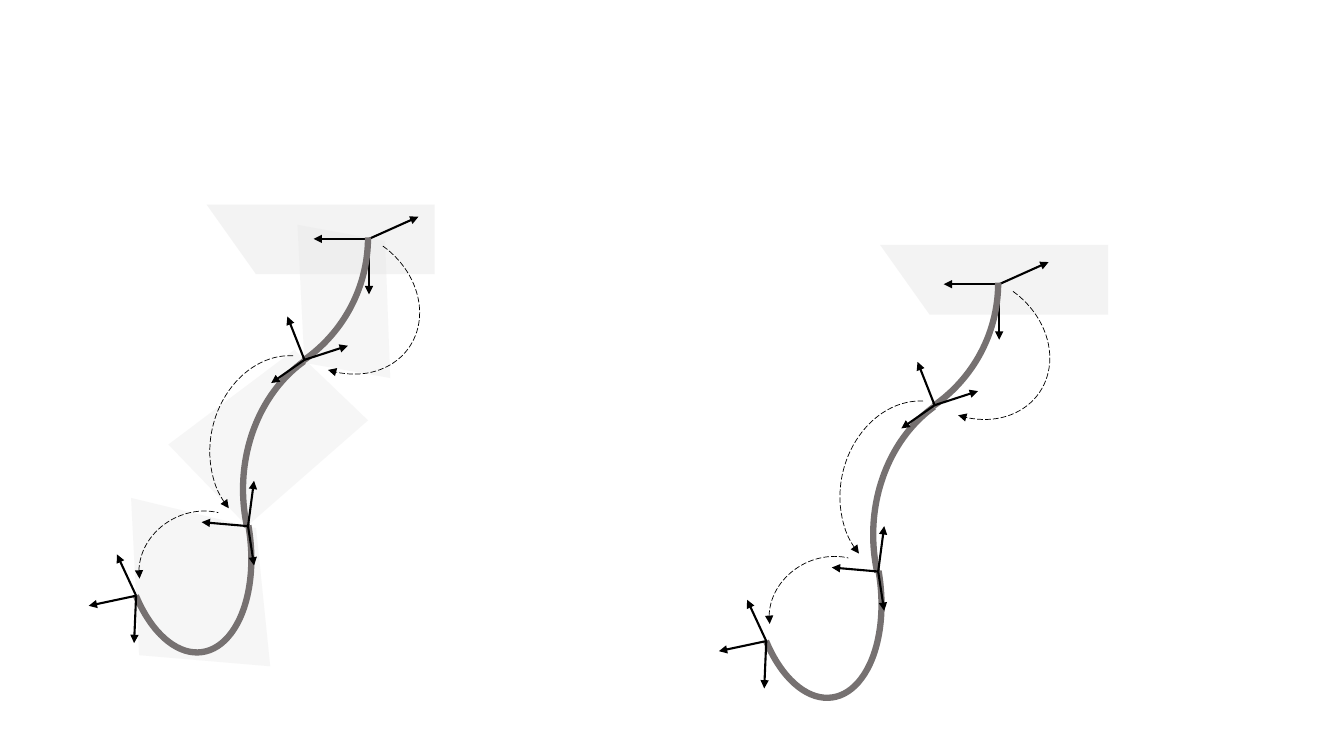
"""Draw a bent rod with moving frames twice, with and without its bending planes."""
import pptx
import pptx.dml.color
import pptx.enum.dml
import pptx.enum.shapes
import pptx.oxml
import pptx.oxml.ns
import pptx.util
from pptx.util import Inches

BLACK, ROD_GREY = "000000", "767171"
PLANE_FILL, CEILING_FILL = ("E7E6E6", 35), ("F2F2F2", 89)

CEILING = [(4.31, 2.72), (2.54, 2.72), (2.05, 2.03), (4.31, 2.03)]
LOWER_PLANES = [
    [(2.68, 6.61), (1.38, 6.5), (1.3, 4.94), (2.54, 5.24)],
    [(2.45, 5.22), (1.67, 4.41), (2.92, 3.47), (3.65, 4.17)],
]
UPPER_PLANE = [(3.87, 3.75), (3.02, 3.6), (2.95, 2.23), (3.82, 2.39)]

LEFT_PLANES = [(points, PLANE_FILL) for points in LOWER_PLANES]
LEFT_PLANES += [(CEILING, CEILING_FILL), (UPPER_PLANE, PLANE_FILL)]
RIGHT_PLANES = [([(x + 6.68, y + 0.4) for x, y in CEILING], CEILING_FILL)]

ROD_PARTS = [
    ("rod", (2.18, 3.6, 2.97, 2.51), 90, (43.72, 91.71), None),
    ("turn", (2.59, 2.31, 1.61, 1.36), 34.5, (163.07, 40.35), "tailEnd"),
    ("turn", (2.09, 3.52, 1.44, 1.76), 193.4, (178.04, 50.24), "headEnd"),
    ("frame", (3.66, 2.37), [(4.15, 2.15), (3.11, 2.37), (3.66, 2.92)]),
    ("rod", (0.68, 0.87, 2.97, 2.97), 90, (162, 195.21), None),
    ("frame", (3.02, 3.57), [(2.85, 3.14), (2.69, 3.8), (3.45, 3.43)]),
    ("rod", (0.74, 4.74, 2.22, 1.26), 82.1, (158.09, 30.55), None),
    ("frame", (2.46, 5.22), [(2, 5.18), (2.52, 5.61), (2.52, 4.77)]),
    ("turn", (1.44, 5.01, 1.05, 1.2), 243.5, (170.37, 28.43), "headEnd"),
    ("frame", (1.35, 5.91), [(0.88, 6.01), (1.33, 6.38), (1.16, 5.5)]),
]

FIGURES = [(LEFT_PLANES, (0, 0)), (RIGHT_PLANES, (6.25, 0.45))]


def color(hex_string):
    return pptx.dml.color.RGBColor.from_string(hex_string)


def set_line(shape, hex_string, width, arrow=None, dashed=False):
    shape.line.color.rgb = color(hex_string)
    shape.line.width = pptx.util.Pt(width)
    if dashed:
        shape.line.dash_style = pptx.enum.dml.MSO_LINE.LONG_DASH
    if arrow:
        line = shape.line._get_or_add_ln()
        pptx.oxml.parse_xml(f'<a:{arrow} {pptx.oxml.ns.nsdecls("a")} type="triangle"/>')
        line.append(pptx.oxml.parse_xml(
            f'<a:{arrow} {pptx.oxml.ns.nsdecls("a")} type="triangle"/>'))


def add_plane(group, points, fill):
    hex_string, opacity = fill
    corners = [(Inches(x), Inches(y)) for x, y in points]
    builder = group.shapes.build_freeform(*corners[0], scale=1.0)
    builder.add_line_segments(corners[1:], close=True)
    plane = builder.convert_to_shape()
    plane.shadow.inherit = False
    plane.fill.solid()
    plane.fill.fore_color.rgb = color(hex_string)
    fill_color = plane.fill._xPr.find(".//" + pptx.oxml.ns.qn("a:srgbClr"))
    fill_color.append(pptx.oxml.parse_xml(
        f'<a:alpha {pptx.oxml.ns.nsdecls("a")} val="{opacity * 1000}"/>'))
    plane.line.fill.background()


def add_arc(group, kind, offset, box, rotation, angles, arrow):
    left, top, width, height = box
    arc = group.shapes.add_shape(
        pptx.enum.shapes.MSO_SHAPE.ARC, Inches(left + offset[0]),
        Inches(top + offset[1]), Inches(width), Inches(height))
    arc.rotation = rotation
    arc.adjustments[0], arc.adjustments[1] = angles
    arc.shadow.inherit = False
    arc.fill.background()
    if kind == "rod":
        set_line(arc, ROD_GREY, 4.5)
    else:
        set_line(arc, BLACK, 0.5, arrow, dashed=True)


def add_frame(group, offset, origin, tips):
    for tip in tips:
        ends = [Inches(value + shift) for point in (origin, tip)
                for value, shift in zip(point, offset)]
        axis = group.shapes.add_connector(
            pptx.enum.shapes.MSO_CONNECTOR.STRAIGHT, *ends)
        set_line(axis, BLACK, 1.5, "tailEnd")
        axis._element.spPr.append(pptx.oxml.parse_xml(
            f'<a:effectLst {pptx.oxml.ns.nsdecls("a")}/>'))


def main():
    presentation = pptx.Presentation()
    presentation.slide_width = Inches(13.33)
    presentation.slide_height = Inches(7.5)
    slide = presentation.slides.add_slide(presentation.slide_layouts[6])
    for planes, offset in FIGURES:
        group = slide.shapes.add_group_shape()
        for points, fill in planes:
            add_plane(group, points, fill)
        for kind, *details in ROD_PARTS:
            if kind == "frame":
                add_frame(group, offset, *details)
            else:
                add_arc(group, kind, offset, *details)
    presentation.save("out.pptx")


if __name__ == "__main__":
    main()
